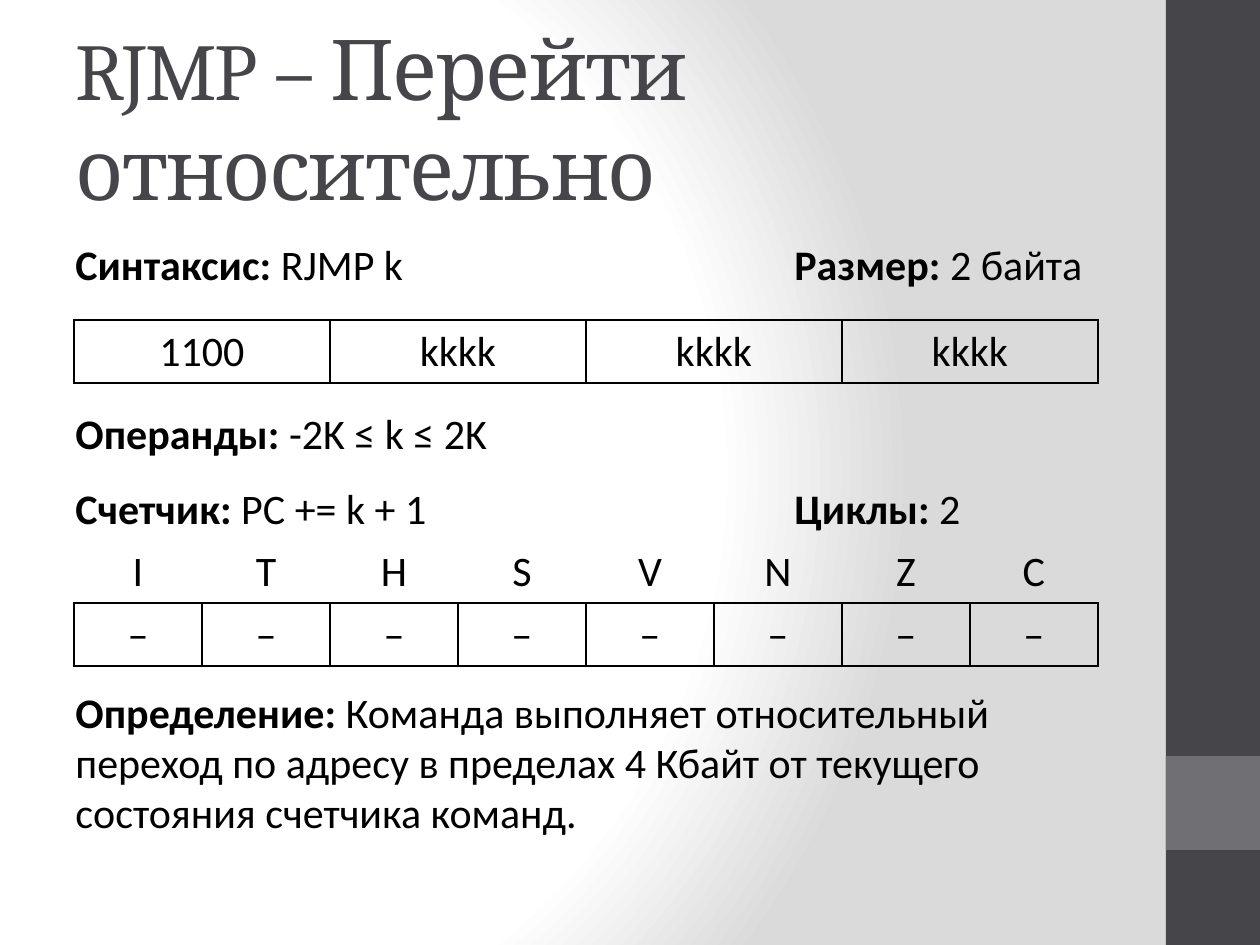
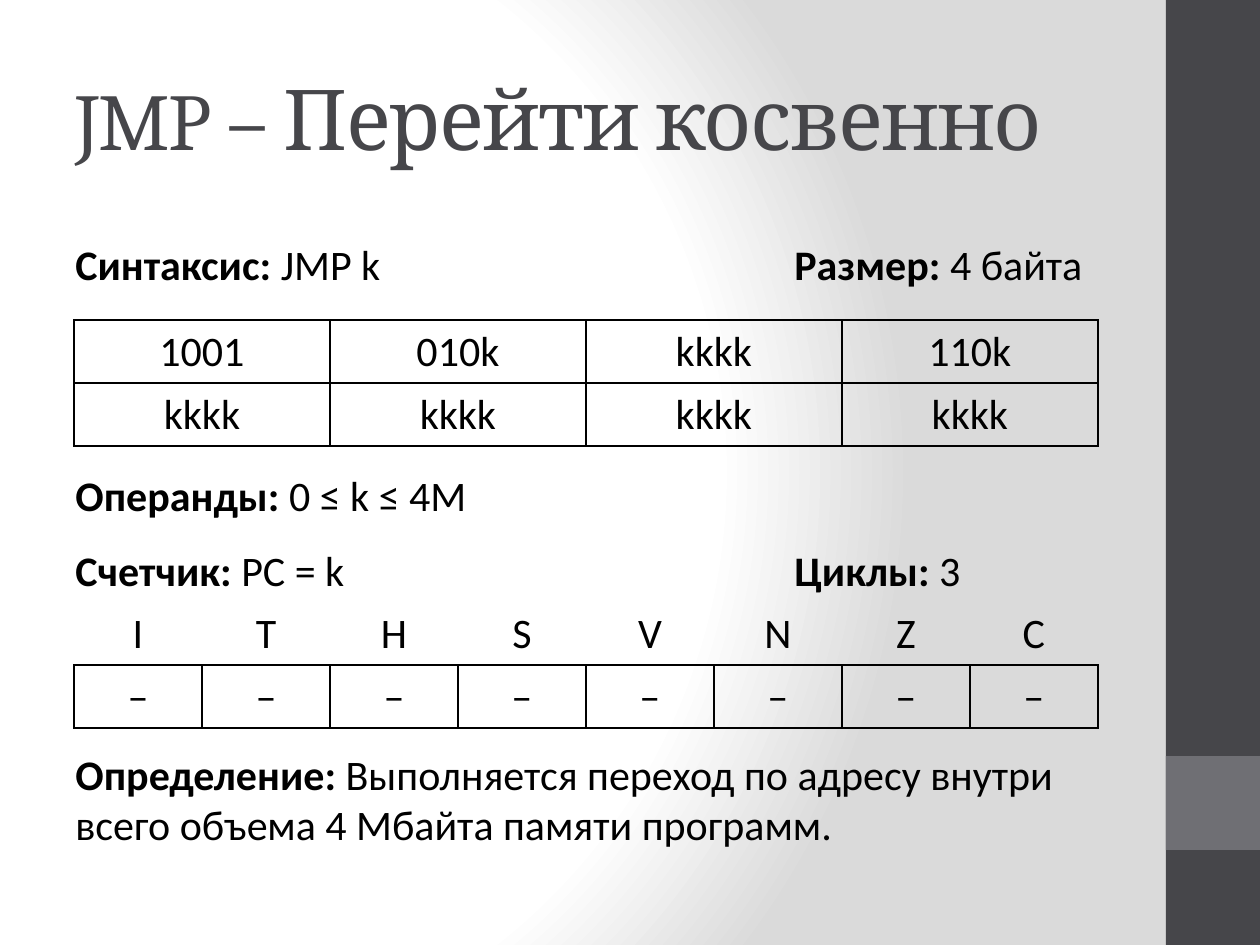
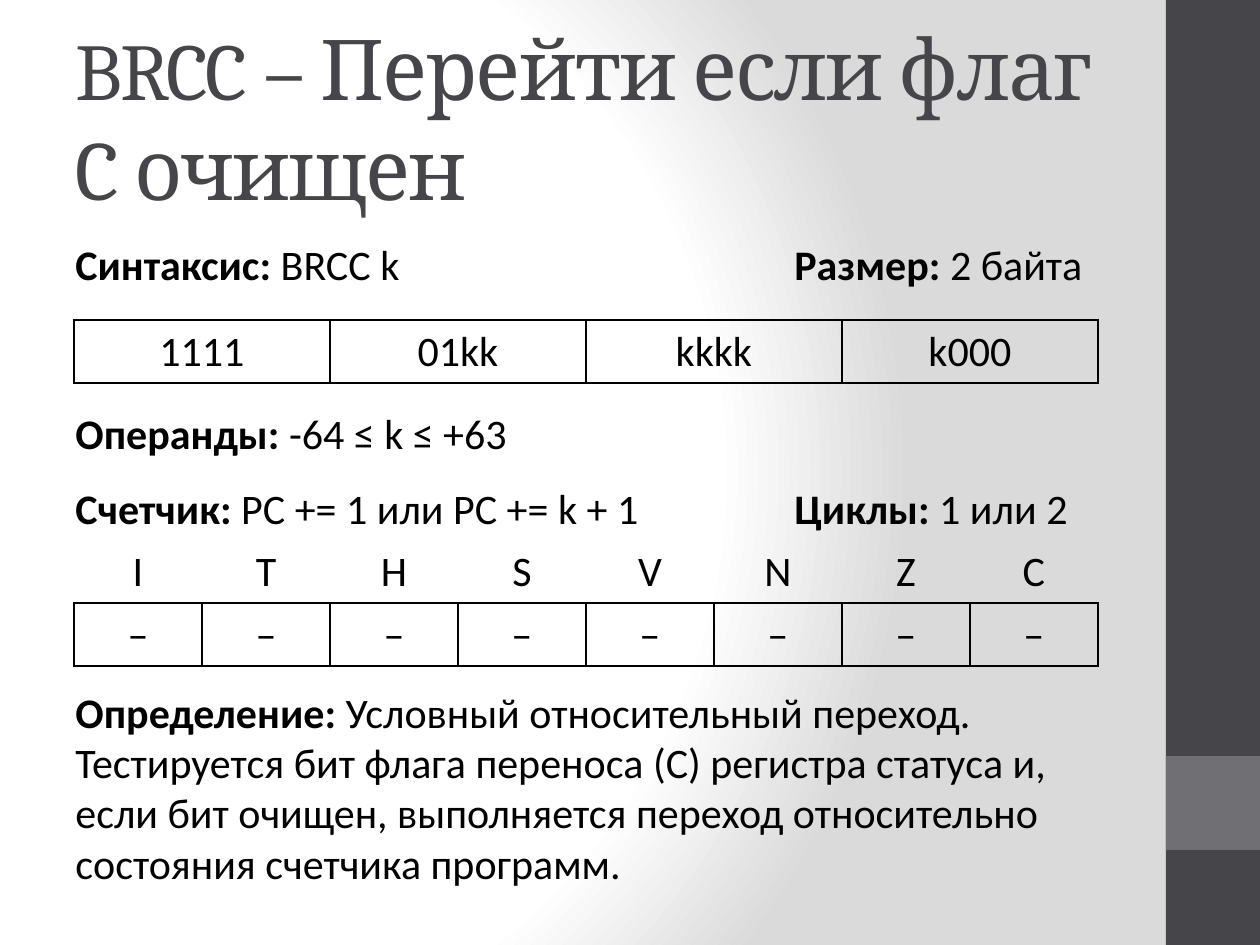
from dataclasses import dataclass

from pptx import Presentation
from pptx.dml.color import RGBColor
from pptx.enum.shapes import MSO_SHAPE
from pptx.enum.text import MSO_ANCHOR, MSO_AUTO_SIZE, PP_ALIGN
from pptx.oxml import parse_xml
from pptx.oxml.ns import nsdecls, qn
from pptx.util import Emu, Pt

RECTANGLE = MSO_SHAPE.RECTANGLE
MIDDLE = MSO_ANCHOR.MIDDLE
LEFT, CENTER = PP_ALIGN.LEFT, PP_ALIGN.CENTER
FIT_SHAPE, NO_FIT = MSO_AUTO_SIZE.SHAPE_TO_FIT_TEXT, MSO_AUTO_SIZE.NONE

EMU_PER_PX = 914400 / 126
SLIDE_W, SLIDE_H = 1260, 945
TITLE_ONLY = 5

INK, DARK, ACCENT = "000000", "46464A", "6F6F74"
WHITE, SHADE = "FFFFFF", "DADADA"
BODY_FONT, TITLE_FONT = "Calibri", "Cambria"
BODY_SIZE = 24

BAND_X, BAND_W = 1166, 94
TEXT_X, TEXT_W, RIGHT_X = 63, 1050, 782
TABLE_X, TABLE_W = 74, 1024
ROW_H, LINE_H = 63, 51
EXTRA_ROW_SHIFT = 62
NO_TABLE_STYLE = "{2D5ABB26-0587-4C30-8999-92F81FD0307C}"

FLAGS = "ITHSVNZC"
UNCHANGED = "–"


@dataclass
class Instruction:
    """One command of the instruction set; widths belong to the fitted boxes."""
    name: str
    meaning: str
    syntax_w: int
    size: str
    opcode: list
    operands: str
    counter: str
    counter_w: int
    cycles: str
    cycles_w: int
    definition: str
    definition_lines: int


INSTRUCTIONS = [
    Instruction(
        "RJMP", "Перейти относительно", 358, "2 байта",
        [["1100", "kkkk", "kkkk", "kkkk"]],
        "-2K ≤ k ≤ 2K", "PC += k + 1", 380, "2", 193,
        "Команда выполняет относительный переход по адресу в пределах "
        "4 Кбайт от текущего состояния счетчика команд.", 3),
    Instruction(
        "JMP", "Перейти косвенно", 335, "4 байта",
        [["1001", "010k", "kkkk", "110k"], ["kkkk"] * 4],
        "0 ≤ k ≤ 4M", "PC = k", 297, "3", 193,
        "Выполняется переход по адресу внутри всего объема 4 Мбайта "
        "памяти программ.", 2),
    Instruction(
        "BRCC", "Перейти если флаг C очищен", 354, "2 байта",
        [["1111", "01kk", "kkkk", "k000"]],
        "-64 ≤ k ≤ +63", "PC += 1 или PC += k + 1", 595, "1 или 2", 301,
        "Условный относительный переход. Тестируется бит флага переноса (С) "
        "регистра статуса и, если бит очищен, выполняется переход "
        "относительно состояния счетчика программ.", 4),
]


def px(length):
    """Turn pixels into EMU."""
    return Emu(round(length * EMU_PER_PX))


def box(x, y, w, h):
    """Return left, top, width and height in EMU."""
    return px(x), px(y), px(w), px(h)


def color(value):
    """Turn a hex string into a colour."""
    return RGBColor.from_string(value)


def add_run(paragraph, text, size=BODY_SIZE, font=BODY_FONT, ink=INK, bold=False):
    """Append a formatted run and return it."""
    run = paragraph.add_run()
    run.text = text
    run.font.size = Pt(size)
    run.font.name = font
    run.font.bold = bold
    run.font.color.rgb = color(ink)
    return run


def set_background(master):
    """Give the master a circular gradient from white to grey."""
    stops = "".join(
        f'<a:gs pos="{percent * 1000}"><a:srgbClr val="{shade}"/></a:gs>'
        for percent, shade in ((0, WHITE), (75, WHITE), (100, SHADE)))
    background = parse_xml(
        f'<p:bg {nsdecls("p", "a")}><p:bgPr><a:gradFill rotWithShape="1">'
        f'<a:gsLst>{stops}</a:gsLst><a:path path="circle">'
        '<a:fillToRect l="20000" t="50000" r="100000" b="50000"/></a:path>'
        '</a:gradFill><a:effectLst/></p:bgPr></p:bg>')
    content = master.element.find(qn("p:cSld"))
    previous = content.find(qn("p:bg"))
    if previous is not None:
        content.remove(previous)
    content.insert(0, background)


def add_band(slide, y, height, fill):
    """Draw a plain block of the right-hand band."""
    band = slide.shapes.add_shape(RECTANGLE, *box(BAND_X, y, BAND_W, height))
    band.shadow.inherit = False
    band.fill.solid()
    band.fill.fore_color.rgb = color(fill)
    band.line.fill.background()


def set_title(slide, name, meaning):
    """Place the title: command name, then its meaning slightly larger."""
    title = slide.shapes.title
    title.left, title.top, title.width, title.height = box(TEXT_X, 38, TEXT_W, 158)
    frame = title.text_frame
    frame.vertical_anchor = MIDDLE
    frame.auto_size = NO_FIT
    paragraph = frame.paragraphs[0]
    paragraph.alignment = LEFT
    for text, size in ((f"{name} ", 46), (f"– {meaning}", 48)):
        run = add_run(paragraph, text, size, TITLE_FONT, DARK)
        run.font._element.set("spc", "-100")


def add_field(slide, x, y, label, value, width=TEXT_W, lines=1, wrap=False):
    """Write a bold label followed by its value."""
    height = ROW_H + LINE_H * (lines - 1)
    frame = slide.shapes.add_textbox(*box(x, y, width, height)).text_frame
    frame.word_wrap = wrap
    frame.auto_size = FIT_SHAPE
    paragraph = frame.paragraphs[0]
    add_run(paragraph, f"{label}: ", bold=True)
    add_run(paragraph, value)


def add_borders(cell, sides):
    """Draw 1 pt lines on the given sides of a cell."""
    properties = cell._tc.get_or_add_tcPr()
    for side in sides:
        properties.append(parse_xml(
            f'<a:ln{side} {nsdecls("a")} w="12700"><a:solidFill>'
            f'<a:srgbClr val="{INK}"/></a:solidFill></a:ln{side}>'))


def add_grid(slide, y, rows, header=False):
    """Add a table of equal columns; a header row has only a bottom line."""
    columns = len(rows[0])
    table = slide.shapes.add_table(
        len(rows), columns, *box(TABLE_X, y, TABLE_W, ROW_H * len(rows))).table
    table.first_row = table.horz_banding = False
    table._tbl.tblPr.find(qn("a:tableStyleId")).text = NO_TABLE_STYLE
    for column in table.columns:
        column.width = px(TABLE_W / columns)
    for row_index, row in enumerate(rows):
        for column_index, text in enumerate(row):
            cell = table.cell(row_index, column_index)
            add_borders(cell, "B" if header and row_index == 0 else "LRTB")
            cell.fill.background()
            paragraph = cell.text_frame.paragraphs[0]
            paragraph.alignment = CENTER
            add_run(paragraph, text)


def add_instruction(prs, item):
    """Build the slide of one command."""
    slide = prs.slides.add_slide(prs.slide_layouts[TITLE_ONLY])
    shift = EXTRA_ROW_SHIFT * (len(item.opcode) - 1)
    add_band(slide, 0, SLIDE_H, DARK)
    add_band(slide, 756, BAND_W, ACCENT)
    set_title(slide, item.name, item.meaning)
    add_field(slide, TEXT_X, 232, "Синтаксис", f"{item.name} k", item.syntax_w)
    add_field(slide, RIGHT_X, 232, "Размер", item.size, 316)
    add_grid(slide, 320, item.opcode)
    add_field(slide, TEXT_X, 401 + shift, "Операнды", item.operands, wrap=True)
    add_field(slide, TEXT_X, 476 + shift, "Счетчик", item.counter, item.counter_w)
    add_field(slide, RIGHT_X, 476 + shift, "Циклы", item.cycles, item.cycles_w)
    add_grid(slide, 540 + shift, [FLAGS, UNCHANGED * len(FLAGS)], header=True)
    add_field(slide, TEXT_X, 680 + shift, "Определение", item.definition,
              lines=item.definition_lines, wrap=True)


def main():
    """Build and save the presentation."""
    prs = Presentation()
    prs.slide_width, prs.slide_height = px(SLIDE_W), px(SLIDE_H)
    set_background(prs.slide_master)
    for item in INSTRUCTIONS:
        add_instruction(prs, item)
    prs.save("out.pptx")


main()
